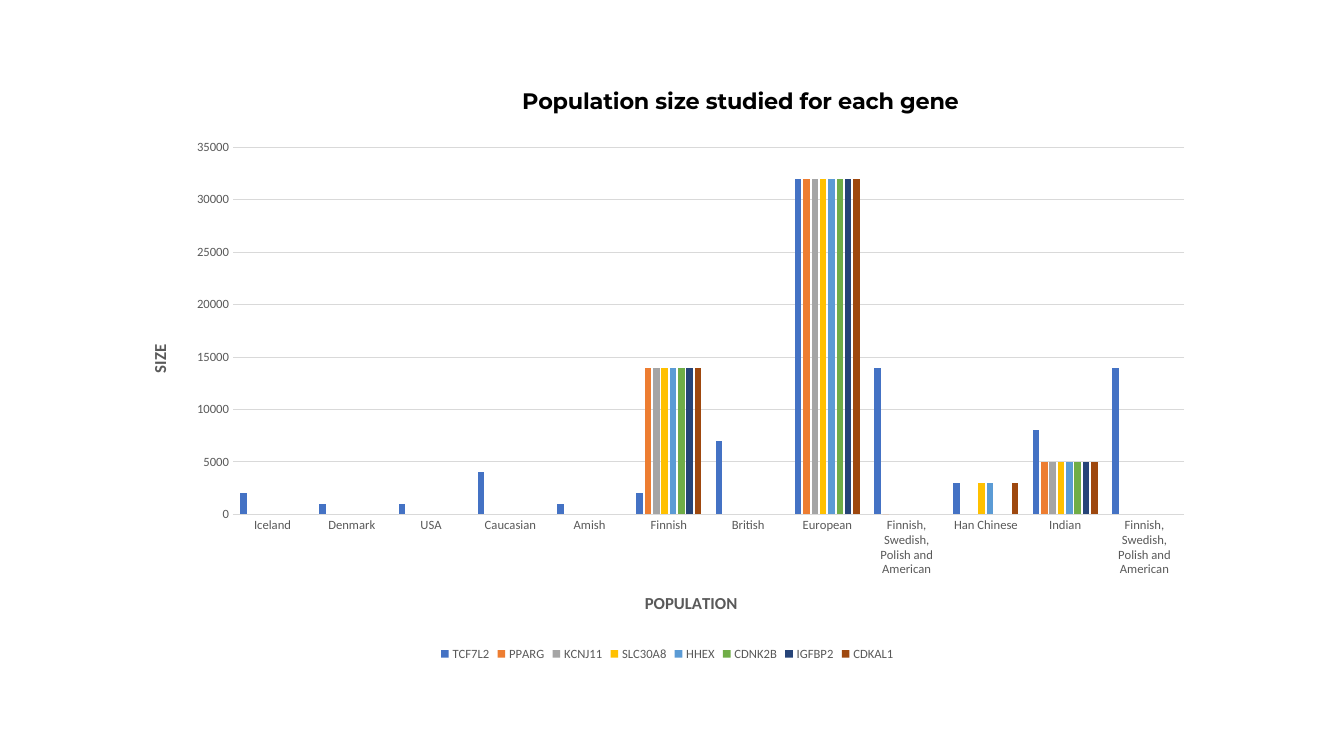
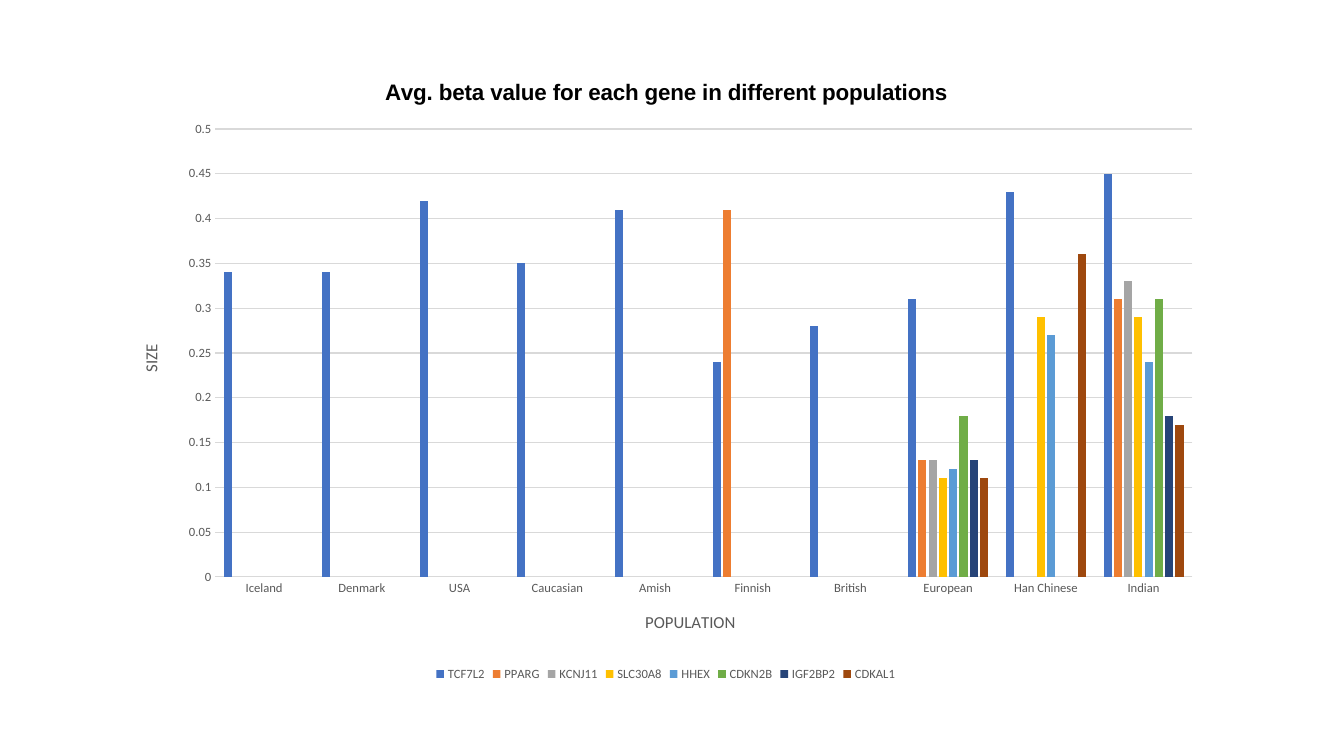
"""Build two slides of clustered column charts on genes and populations."""
import lxml.etree
import pptx
import pptx.chart.data
import pptx.dml.color
import pptx.enum.chart
import pptx.oxml.ns
import pptx.util

Pt = pptx.util.Pt
Color = pptx.dml.color.RGBColor.from_string
qn = pptx.oxml.ns.qn
enum = pptx.enum.chart


class Theme:
    ink = Color("000000")
    gray = Color("595959")
    rule = Color("D9D9D9")
    bars = [Color(c) for c in ("4472C4", "ED7D31", "A5A5A5", "FFC000",
                               "5B9BD5", "70AD47", "264478", "9E480E")]
    font = "Calibri"
    title, label, base, tick = Pt(16), Pt(12), Pt(10), Pt(9)
    line = Pt(0.75)


def place(part, spot, size):
    """Fix a chart part at a spot in points, within a chart of that size."""
    for old in part.findall(qn("c:layout")):
        part.remove(old)
    layout = lxml.etree.Element(qn("c:layout"))
    part.insert(0 if part.find(qn("c:tx")) is None else 1, layout)
    manual = lxml.etree.SubElement(layout, qn("c:manualLayout"))
    shares = [Pt(n) / Pt(full) for n, full in zip(spot, size * 2)]
    pairs = [("xMode", "edge"), ("yMode", "edge"), *zip("xywh", shares)]
    if len(spot) == 4:
        pairs.insert(0, ("layoutTarget", "inner"))
    for key, value in pairs:
        lxml.etree.SubElement(manual, qn("c:" + key)).set("val", str(value))


def write(title, text, font, size, color, bold):
    """Write one run into a chart or axis title."""
    run = title.text_frame.paragraphs[0].add_run()
    run.text = text
    run.font.name, run.font.size, run.font.bold = font, size, bold
    run.font.color.rgb = color


mixed = "Finnish, Swedish, Polish and American"
first = ["Iceland", "Denmark", "USA", "Caucasian", "Amish", "Finnish",
         "British", "European"]
none = [None] * 5
wide = none + [14000, None, 32000, None, None, 5000, None]
han = none + [14000, None, 32000, None, 3000, 5000, None]
blank = none + [None, None]

charts = [
    dict(title="Population size studied for each gene", font="Montserrat",
         bold=True, box=(91.4, 53.3, 770.4, 421.9), top=35000, step=5000,
         plot=(75, 52, 679.4, 262.2), head=(278.7, 5),
         foot=(367, 367), side=(12.5, 190.6),
         cats=first + [mixed, "Han Chinese", "Indian", mixed],
         rows={
             "TCF7L2": [2000, 1000, 1000, 4000, 1000, 2000, 7000, 32000,
                        14000, 3000, 8000, 14000],
             "PPARG": none + [14000, None, 32000, 0, None, 5000, None],
             "KCNJ11": wide, "SLC30A8": han, "HHEX": han,
             "CDNK2B": wide, "IGFBP2": wide, "CDKAL1": han}),
    dict(title="Avg. beta value for each gene in different populations",
         font="Arial", bold=False, box=(84.2, 41, 782.6, 448.6),
         top=0.5, step=0.05,
         plot=(69.6, 51.2, 698, 320), head=(188, 12),
         foot=(374.5, 393.4), side=(13.4, 202.6),
         cats=first + ["Han Chinese", "Indian"],
         rows={
             "TCF7L2": [0.34, 0.34, 0.42, 0.35, 0.41, 0.24, 0.28, 0.31,
                        0.43, 0.45],
             "PPARG": none + [0.41, None, 0.13, None, 0.31],
             "KCNJ11": blank + [0.13, None, 0.33],
             "SLC30A8": blank + [0.11, 0.29, 0.29],
             "HHEX": blank + [0.12, 0.27, 0.24],
             "CDKN2B": blank + [0.18, None, 0.31],
             "IGF2BP2": blank + [0.13, None, 0.18],
             "CDKAL1": blank + [0.11, 0.36, 0.17]}),
]

deck = pptx.Presentation()
deck.slide_width, deck.slide_height = Pt(960), Pt(540)

for item in charts:
    slide = deck.slides.add_slide(deck.slide_layouts[6])
    data = pptx.chart.data.CategoryChartData()
    data.categories = item["cats"]
    for name, row in item["rows"].items():
        data.add_series(name, row)
    chart = slide.shapes.add_chart(
        enum.XL_CHART_TYPE.COLUMN_CLUSTERED,
        *[Pt(n) for n in item["box"]], data).chart
    chart.font.name, chart.font.size = Theme.font, Theme.base
    chart.font.color.rgb = Theme.ink
    size = item["box"][2:]

    chart.has_title = True
    write(chart.chart_title, item["title"], item["font"], Theme.title,
          Theme.ink, True)
    place(chart.chart_title._element, item["head"], size)
    place(chart._chartSpace.chart.plotArea, item["plot"], size)

    bars = chart.plots[0]
    bars.gap_width, bars.overlap, bars.vary_by_categories = 219, -27, False
    for gene, color in zip(bars.series, Theme.bars):
        gene.format.fill.solid()
        gene.format.fill.fore_color.rgb = color
        gene.invert_if_negative = False

    cat, val = chart.category_axis, chart.value_axis
    for axis, text, spot in ((cat, "POPULATION", item["foot"]),
                             (val, "SIZE", item["side"])):
        axis.major_tick_mark = axis.minor_tick_mark = enum.XL_TICK_MARK.NONE
        write(axis.axis_title, text, Theme.font, Theme.label, Theme.gray,
              item["bold"])
        place(axis.axis_title._element, spot, size)
    body = val.axis_title._element.find(".//" + qn("a:bodyPr"))
    body.set("rot", "-5400000")
    body.set("vert", "horz")
    val.minimum_scale, val.maximum_scale = 0, item["top"]
    val.major_unit = item["step"]
    val.format.line.fill.background()
    for line in (cat.format.line, val.major_gridlines.format.line):
        line.color.rgb, line.width = Theme.rule, Theme.line

    chart.has_legend = True
    chart.legend.position = enum.XL_LEGEND_POSITION.BOTTOM
    chart.legend.include_in_layout = False
    for font in (cat.tick_labels.font, val.tick_labels.font,
                 chart.legend.font):
        font.name, font.size = Theme.font, Theme.tick
        font.color.rgb = Theme.gray

deck.save("out.pptx")
